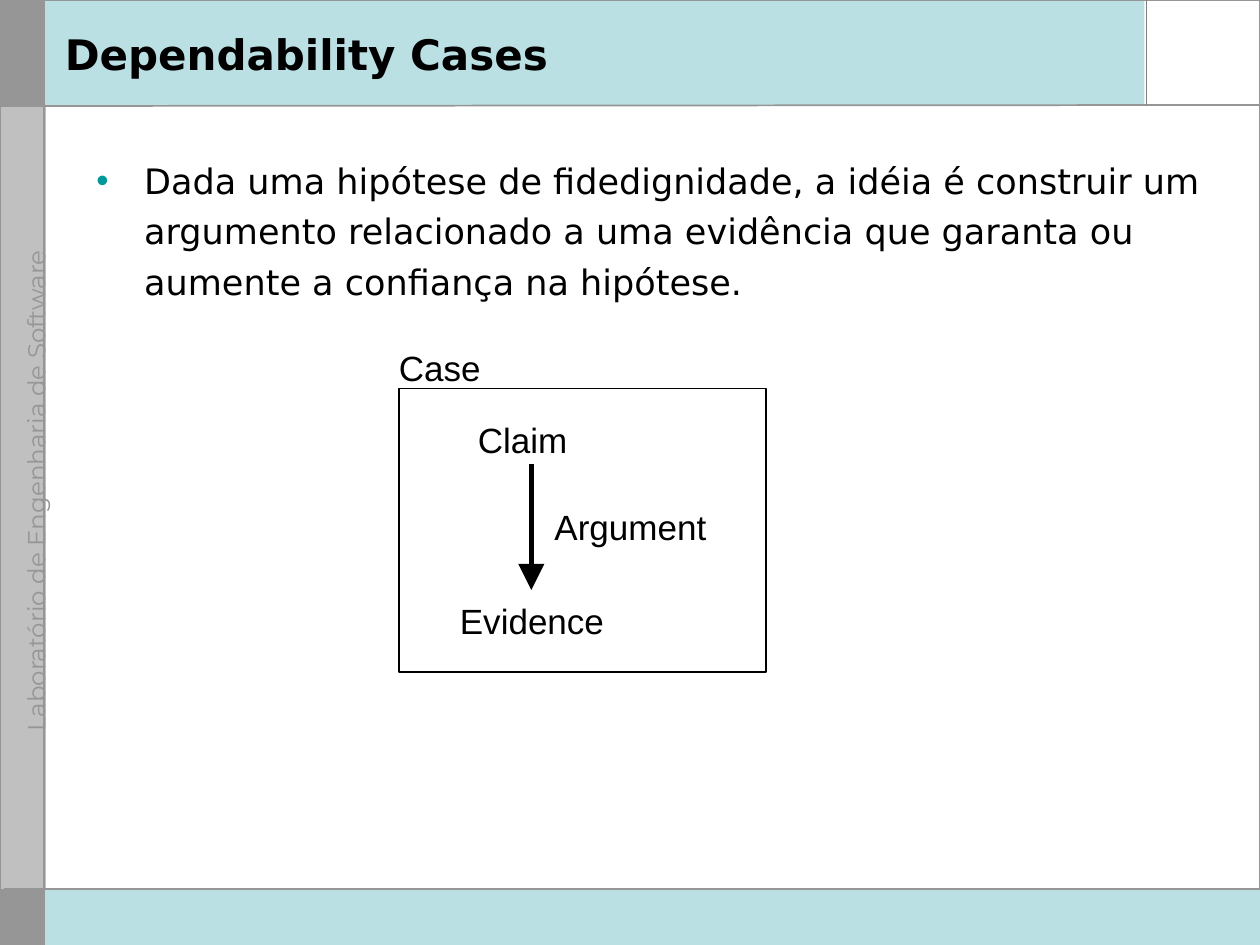
from dataclasses import dataclass, field

from lxml import etree
from pptx import Presentation
from pptx.dml.color import RGBColor
from pptx.enum.shapes import MSO_CONNECTOR, MSO_SHAPE
from pptx.enum.text import MSO_ANCHOR, MSO_AUTO_SIZE, PP_ALIGN
from pptx.oxml.ns import qn
from pptx.util import Inches, Pt

RECTANGLE = MSO_SHAPE.RECTANGLE
STRAIGHT = MSO_CONNECTOR.STRAIGHT
TOP, MIDDLE = MSO_ANCHOR.TOP, MSO_ANCHOR.MIDDLE
FIXED, GROW = MSO_AUTO_SIZE.NONE, MSO_AUTO_SIZE.SHAPE_TO_FIT_TEXT
LEFT, CENTER = PP_ALIGN.LEFT, PP_ALIGN.CENTER

# Grid of 120 columns by 90 rows of square cells
WIDTH, HEIGHT = Inches(10), Inches(7.5)
COLUMNS, ROWS = 120, 90
CELL = WIDTH / COLUMNS

BLACK, WHITE, TEAL, AQUA = "000000", "FFFFFF", "009999", "BBE0E3"
GREY, LIGHT_GREY, RULE_GREY = "969696", "C0C0C0", "808080"

RAIL = 4.2          # right edge of the side rail
HEADER = 10         # bottom of the header band
FOOTER = 84.7       # top of the footer band
LOGO_AREA = 109     # left edge of the white header corner


@dataclass
class Panel:
    left: float
    top: float
    width: float
    height: float
    fill: str | None = None
    line: str | None = None
    weight: float = 0.75


@dataclass
class Rule:
    start: tuple[float, float]
    end: tuple[float, float]
    color: str = GREY
    weight: float = 1
    arrow: bool = False


@dataclass
class Label:
    text: str
    left: float
    top: float
    width: float
    height: float = 4
    font: dict = field(default_factory=lambda: {"name": "Arial", "size": Pt(20)})
    color: str = BLACK
    frame: dict = field(default_factory=lambda: {"word_wrap": False, "auto_size": GROW})
    inset: tuple[float, float] = (0, 0)
    rotation: float = 0
    alignment: PP_ALIGN = LEFT
    bullet: bool = False


def grid(*cells: float) -> list[int]:
    return [round(cell * CELL) for cell in cells]


def color(value: str) -> RGBColor:
    return RGBColor.from_string(value)


def apply(target, values: dict) -> None:
    for name, value in values.items():
        setattr(target, name, value)


def draw_panel(page, panel: Panel) -> None:
    box = page.shapes.add_shape(
        RECTANGLE, *grid(panel.left, panel.top, panel.width, panel.height))
    box.shadow.inherit = False
    for part, value in ((box.fill, panel.fill), (box.line.fill, panel.line)):
        if value:
            part.solid()
            part.fore_color.rgb = color(value)
        else:
            part.background()
    if panel.line:
        box.line.width = Pt(panel.weight)


def draw_rule(page, rule: Rule) -> None:
    line = page.shapes.add_connector(STRAIGHT, *grid(*rule.start, *rule.end))
    line.line.color.rgb = color(rule.color)
    line.line.width = Pt(rule.weight)
    if rule.arrow:
        etree.SubElement(line.line._get_or_add_ln(), qn("a:tailEnd"),
                         type="triangle", w="lg", len="lg")
    etree.SubElement(line._element.spPr, qn("a:effectLst"))


def add_bullet(para) -> None:
    para.line_spacing = 1.2
    properties = para._p.get_or_add_pPr()
    properties.set("marL", str(Inches(0.38)))
    properties.set("indent", str(-Inches(0.38)))
    tint = etree.SubElement(properties, qn("a:buClr"))
    etree.SubElement(tint, qn("a:srgbClr"), val=TEAL)
    etree.SubElement(properties, qn("a:buFont"), typeface="Arial")
    etree.SubElement(properties, qn("a:buChar"), char="•")


def draw_label(page, label: Label) -> None:
    box = page.shapes.add_textbox(
        *grid(label.left, label.top, label.width, label.height))
    box.rotation = label.rotation
    across, down = (Inches(value) for value in label.inset)
    apply(box.text_frame, {
        "margin_left": across, "margin_right": across,
        "margin_top": down, "margin_bottom": down,
        "vertical_anchor": TOP, **label.frame})
    para = box.text_frame.paragraphs[0]
    para.alignment = label.alignment
    if label.bullet:
        add_bullet(para)
    span = para.add_run()
    span.text = label.text
    apply(span.font, label.font)
    span.font.color.rgb = color(label.color)


INSET = (0.1, 0.05)
WRAPPED = {"word_wrap": True, "auto_size": FIXED}

PARTS = [
    # Bands, side rail and rules around the page
    Panel(0.1, 0, RAIL, 18.6, GREY, GREY),
    Rule((COLUMNS, FOOTER), (0, FOOTER)),
    Panel(RAIL, 0, COLUMNS - RAIL, HEADER, AQUA),
    Panel(0.1, HEADER + 0.1, RAIL, 76.9, LIGHT_GREY, LIGHT_GREY),
    Panel(LOGO_AREA, 0, COLUMNS - LOGO_AREA, HEADER, WHITE),
    Label("Laboratório de Engenharia de Software", -28, 45.8, 60.7, 1.9,
          {"name": "Montserrat", "size": Pt(14)}, GREY,
          {"word_wrap": False, "auto_size": FIXED}, INSET, 270, CENTER),
    Rule((0, HEADER + 0.1), (COLUMNS, HEADER)),
    Panel(0.1, FOOTER, 4, 5.2, GREY, GREY),
    Panel(0, 0, COLUMNS, ROWS, None, GREY, 1),
    Panel(RAIL, FOOTER, COLUMNS - RAIL, ROWS - FOOTER, AQUA),
    Rule((0.4, FOOTER), (COLUMNS, FOOTER)),
    Rule((LOGO_AREA + 0.2, HEADER), (LOGO_AREA + 0.2, 0), RULE_GREY, 0.75),
    Rule((RAIL, 0), (RAIL, ROWS)),
    # Title and body
    Label("Dependability Cases", 5, 1.4, 103, 7.4,
          {"name": "DejaVu Sans", "size": Pt(24), "bold": True},
          frame={**WRAPPED, "vertical_anchor": MIDDLE}, inset=INSET),
    Label("Dada uma hipótese de fidedignidade, a idéia é construir um argumento "
          "relacionado a uma evidência que garanta ou aumente a confiança na hipótese.",
          8, 13.8, 109, 70, {"name": "DejaVu Sans", "size": Pt(20)},
          frame=WRAPPED, inset=INSET, bullet=True),
    # Case diagram
    Label("Claim", 45.5, 39.9, 9),
    Label("Argument", 52.8, 48.1, 15),
    Label("Evidence", 43.8, 57.1, 14.2),
    Rule((50.6, 44.2), (50.6, 56.2), BLACK, 3, arrow=True),
    Panel(38, 37, 35, 27, None, BLACK, 1),
    Label("Case", 38, 33, 8.2),
]
DRAW = {Panel: draw_panel, Rule: draw_rule, Label: draw_label}


def main() -> None:
    deck = Presentation()
    deck.slide_width, deck.slide_height = WIDTH, HEIGHT
    page = deck.slides.add_slide(deck.slide_layouts[6])
    for part in PARTS:
        DRAW[type(part)](page, part)
    deck.save("out.pptx")


if __name__ == "__main__":
    main()
